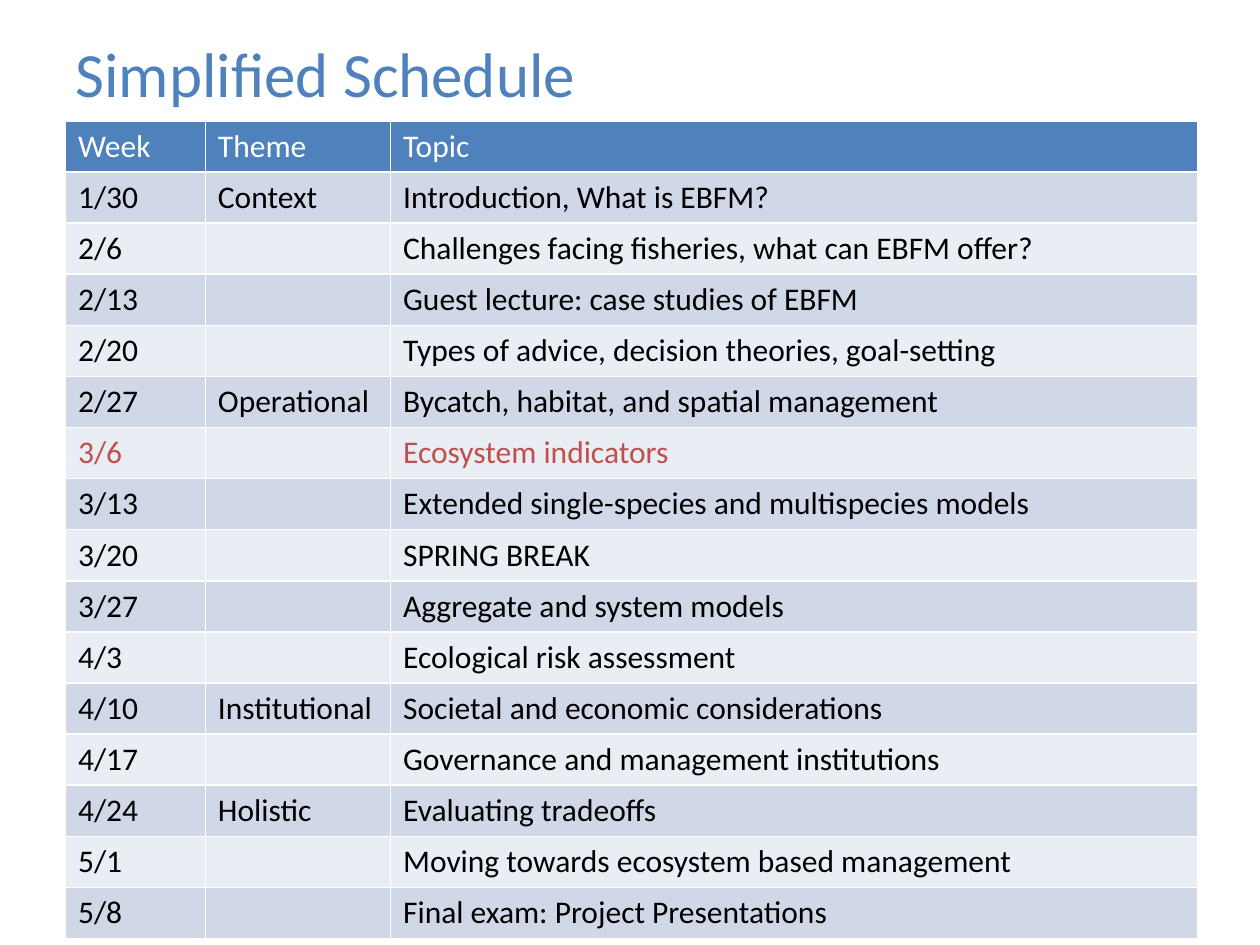
from dataclasses import dataclass

from pptx import Presentation
from pptx.dml.color import RGBColor as Color
from pptx.enum.text import MSO_ANCHOR as Anchor, PP_ALIGN as Align
from pptx.util import Inches, Pt


@dataclass(frozen=True)
class Theme:
    face: str = "Calibri"
    head: str = "4F81BD"
    bands: tuple[str, str] = ("D0D8E8", "E9EDF4")
    ink: str = "000000"
    light: str = "FFFFFF"
    alert: str = "C0504D"
    title: int = 36
    body: int = 18


@dataclass(frozen=True)
class Week:
    date: str
    theme: str
    topic: str
    alert: bool = False


LOOK = Theme()
WIDTHS = (1.11, 1.47, 6.41)
HEIGHT = 6.49
HEADS = ("Week", "Theme", "Topic")
WEEKS = (
    Week("1/30", "Context", "Introduction, What is EBFM?"),
    Week("2/6", "", "Challenges facing fisheries, what can EBFM offer?"),
    Week("2/13", "", "Guest lecture: case studies of EBFM"),
    Week("2/20", "", "Types of advice, decision theories, goal-setting"),
    Week("2/27", "Operational", "Bycatch, habitat, and spatial management"),
    Week("3/6", "", "Ecosystem indicators", alert=True),
    Week("3/13", "", "Extended single-species and multispecies models"),
    Week("3/20", "", "SPRING BREAK"),
    Week("3/27", "", "Aggregate and system models"),
    Week("4/3", "", "Ecological risk assessment"),
    Week("4/10", "Institutional", "Societal and economic considerations"),
    Week("4/17", "", "Governance and management institutions"),
    Week("4/24", "Holistic", "Evaluating tradeoffs"),
    Week("5/1", "", "Moving towards ecosystem based management"),
    Week("5/8", "", "Final exam: Project Presentations"),
)


def style(para, size: int, color: str) -> None:
    form = {"name": LOOK.face, "size": Pt(size), "bold": False}
    for key, value in form.items():
        setattr(para.font, key, value)
    para.font.color.rgb = Color.from_string(color)


def draw_title(slide, text: str) -> None:
    title = slide.shapes.title
    place = {"left": 0.5, "top": 0.2, "width": 9, "height": 0.75}
    for key, value in place.items():
        setattr(title, key, Inches(value))
    frame = title.text_frame
    frame.text = text
    frame.vertical_anchor = Anchor.MIDDLE
    para = frame.paragraphs[0]
    para.alignment = Align.LEFT
    style(para, LOOK.title, LOOK.head)


def draw_row(row, texts: tuple[str, ...], fill: str, color: str) -> None:
    for cell, text in zip(row.cells, texts):
        cell.text = text
        cell.fill.solid()
        cell.fill.fore_color.rgb = Color.from_string(fill)
        style(cell.text_frame.paragraphs[0], LOOK.body, color)


def draw_table(slide) -> None:
    count = len(WEEKS) + 1
    table = slide.shapes.add_table(
        count, len(HEADS), Inches(0.52), Inches(0.96),
        Inches(sum(WIDTHS)), Inches(HEIGHT),
    ).table
    for col, width in zip(table.columns, WIDTHS):
        col.width = Inches(width)
    for row in table.rows:
        row.height = Inches(HEIGHT / count)
    draw_row(table.rows[0], HEADS, LOOK.head, LOOK.light)
    for i, week in enumerate(WEEKS):
        texts = (week.date, week.theme, week.topic)
        color = LOOK.alert if week.alert else LOOK.ink
        draw_row(table.rows[i + 1], texts, LOOK.bands[i % 2], color)


def main() -> None:
    deck = Presentation()
    deck.slide_width, deck.slide_height = Inches(10), Inches(7.5)
    slide = deck.slides.add_slide(deck.slide_layouts[5])
    draw_title(slide, "Simplified Schedule")
    draw_table(slide)
    deck.save("out.pptx")


if __name__ == "__main__":
    main()
